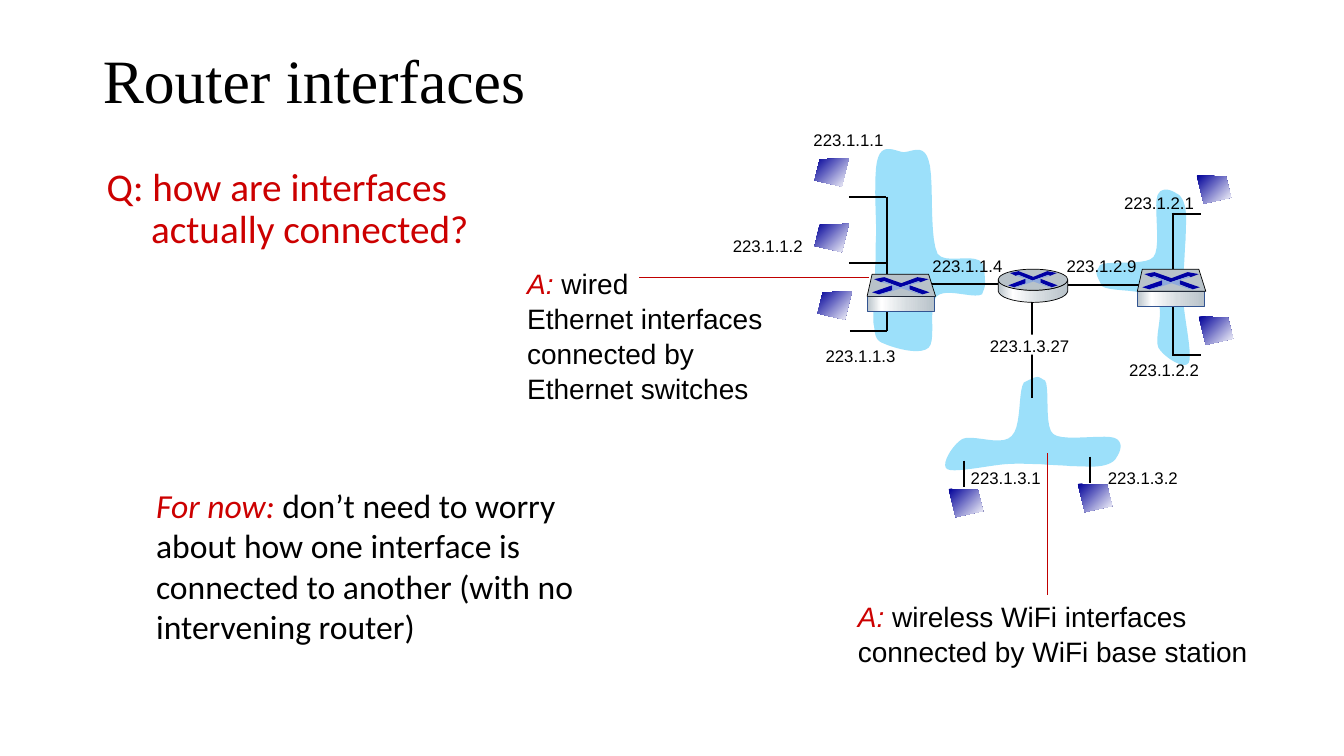
import pptx
import pptx.util
import pptx.dml.color
import pptx.enum.shapes
import pptx.enum.text
import pptx.oxml
import pptx.oxml.ns
from pptx.util import Inches

INK, RED, NAVY, STEEL = "000000", "CC0000", "0000A3", "B8C2C9"
METAL = [(0, STEEL), (21, "FFFFFF"), (60, "D6DCE0"), (100, STEEL)]
SCREEN = [(0, "000099"), (100, "FFFFFF")]
WEST = [(9.76, 2.66), (9.74, 2.47, 9.39, 2.64, 9.3, 2.52), (9.21, 2.34, 9.27, 1.76, 9.21, 1.59),
        (9.16, 1.42, 9.04, 1.51, 8.96, 1.51), (8.88, 1.5, 8.76, 1.42, 8.71, 1.56),
        (8.66, 1.69, 8.69, 2.13, 8.69, 2.31), (8.68, 2.49, 8.69, 2.54, 8.68, 2.65),
        (8.68, 2.76, 8.67, 2.86, 8.67, 2.96), (8.67, 3.06, 8.65, 3.17, 8.67, 3.24),
        (8.68, 3.32, 8.68, 3.38, 8.77, 3.41), (8.86, 3.45, 9.12, 3.53, 9.21, 3.45),
        (9.29, 3.38, 9.2, 3.03, 9.29, 2.94), (9.38, 2.85, 9.66, 2.97, 9.74, 2.92),
        (9.77, 2.84, 9.78, 2.85, 9.76, 2.66)]
EAST = [(10.93, 2.84), (11.02, 2.9, 11.36, 2.86, 11.46, 2.96), (11.57, 3.06, 11.44, 3.34, 11.49, 3.45),
        (11.55, 3.55, 11.75, 3.67, 11.79, 3.6), (11.83, 3.53, 11.75, 3.17, 11.74, 3.02),
        (11.73, 2.87, 11.74, 2.79, 11.74, 2.68), (11.75, 2.57, 11.75, 2.47, 11.76, 2.37),
        (11.76, 2.27, 11.77, 2.16, 11.76, 2.09), (11.75, 2.01, 11.72, 1.94, 11.67, 1.92),
        (11.63, 1.89, 11.52, 1.84, 11.48, 1.94), (11.44, 2.05, 11.52, 2.46, 11.44, 2.55),
        (11.37, 2.64, 10.98, 2.58, 10.91, 2.63), (10.87, 2.71, 10.85, 2.68, 10.93, 2.84)]
DRUM = [(10.59, 2.78), (10.59, 2.89), (10.57, 2.97, 10.37, 3, 10.25, 3), (10.13, 3, 9.92, 2.97, 9.9, 2.89),
        (9.9, 2.78), (9.93, 2.85, 10.13, 2.88, 10.25, 2.88), (10.36, 2.88, 10.56, 2.86, 10.59, 2.78)]
CROSS = [(NAVY, [(.45, 0), (.56, .02), (.48, .05), (.46, .04), (.28, .1), (.12, .04), (.09, .05),
                 (.02, .02), (.12, 0), (.29, .06)]),
         (NAVY, [(.37, .08), (.57, .15), (.5, .17), (.37, .12)]),
         ("0000A8", [(.2, .08), (.2, .13), (.07, .17), (0, .15)]),
         ("8FAADC", [(.09, .05), (.12, .04), (.28, .1), (.46, .04), (.48, .05), (.37, .08), (.37, .13),
                     (.5, .17), (.47, .17), (.29, .11), (.1, .17), (.07, .17), (.2, .13), (.2, .08)])]
LABELS = [("223.1.1.1", 7.97, 1.24), ("223.1.1.2", 7.17, 2.29), ("223.1.1.3", 8.09, 3.38),
          ("223.1.1.4", 9.15, 2.49), ("223.1.2.9", 10.48, 2.49), ("223.1.2.2", 11.1, 3.52),
          ("223.1.2.1", 11.05, 1.86), ("223.1.3.2", 10.89, 4.59), ("223.1.3.1", 9.53, 4.59),
          ("223.1.3.27", 9.72, 3.28)]
HOSTS = [(8.08, 1.57, True), (8.08, 2.22, True), (8.11, 2.89, True), (11.87, 1.74, False),
         (11.89, 3.14, False), (10.69, 4.8, False), (9.41, 4.85, False)]
WIRES = [(8.42, 1.95, 8.79, 1.95), (8.42, 2.61, 8.79, 2.61), (8.43, 3.28, 8.8, 3.28),
         (11.62, 2.12, 11.91, 2.12), (11.63, 3.52, 11.91, 3.52), (9.56, 4.57, 9.56, 4.83),
         (10.81, 4.53, 10.81, 4.79), (9.15, 2.82, 10.02, 2.82), (10.44, 2.83, 11.51, 2.83),
         (8.8, 1.95, 8.8, 3.28), (11.63, 2.11, 11.63, 3.53)]


def tint(code):
    """Turn a hex string into a colour."""
    return pptx.dml.color.RGBColor.from_string(code)


def paint(shape, fill, edge=None, angle=0):
    """Fill a shape with a colour or gradient stops and set its outline."""
    shape.shadow.inherit = False
    if isinstance(fill, str):
        shape.fill.solid()
        shape.fill.fore_color.rgb = tint(fill)
    else:
        shape.fill.gradient()
        shape.fill.gradient_angle = angle
        stops = shape._element.spPr.find(".//" + pptx.oxml.ns.qn("a:gsLst"))
        for stop in list(stops):
            stops.remove(stop)
        for spot, code in fill:
            stops.append(pptx.oxml.parse_xml(
                f'<a:gs {pptx.oxml.ns.nsdecls("a")} pos="{spot * 1000}"><a:srgbClr val="{code}"/></a:gs>'))
    if edge:
        shape.line.color.rgb = tint(edge)
        shape.line.width = pptx.util.Pt(0.5)
    else:
        shape.line.fill.background()


def trace(steps, count=10):
    """Return points along straight (2 numbers) and curved (6 numbers) steps."""
    points = [steps[0]]
    for step in steps[1:]:
        if len(step) == 2:
            points.append(step)
            continue
        knots = [points[-1], step[:2], step[2:4], step[4:]]
        for i in range(1, count + 1):
            t = i / count
            parts = ((1 - t) ** 3, 3 * t * (1 - t) ** 2, 3 * t * t * (1 - t), t ** 3)
            points.append(tuple(sum(w * k[a] for w, k in zip(parts, knots)) for a in (0, 1)))
    return points


def draw(slide, points, fill, edge=None, angle=0):
    """Draw a closed outline."""
    spots = [(Inches(x), Inches(y)) for x, y in points]
    pen = slide.shapes.build_freeform(*spots[0])
    pen.add_line_segments(spots[1:], close=True)
    paint(pen.convert_to_shape(), fill, edge, angle)


def block(slide, kind, left, top, wide, high, fill, edge=None):
    """Add a preset shape."""
    shape = slide.shapes.add_shape(kind, Inches(left), Inches(top), Inches(wide), Inches(high))
    paint(shape, fill, edge)


def wire(slide, ends, code=INK, width=1.5):
    """Add a straight line."""
    line = slide.shapes.add_connector(pptx.enum.shapes.MSO_CONNECTOR.STRAIGHT, *map(Inches, ends))
    line.line.color.rgb = tint(code)
    line.line.width = pptx.util.Pt(width)
    line._element.spPr.append(pptx.oxml.parse_xml(f'<a:effectLst {pptx.oxml.ns.nsdecls("a")}/>'))


def write(slide, area, paras, size, face="Arial", wrap=True, space=None):
    """Add a text box; red runs are italic when black ones follow."""
    box = slide.shapes.add_textbox(*map(Inches, area))
    frame = box.text_frame
    frame.word_wrap = wrap
    for i, runs in enumerate(paras):
        para = frame.add_paragraph() if i else frame.paragraphs[0]
        para.font.name, para.font.size = face, pptx.util.Pt(size)
        para.line_spacing = space
        for words, code in runs:
            run = para.add_run()
            run.text = words
            run.font.color.rgb = tint(code)
            if code == RED and len(runs) > 1:
                run.font.italic = True
    return frame


def head(slide, words):
    """Place and format the title."""
    title = slide.shapes.title
    title.left, title.top, title.width, title.height = map(Inches, (0.92, 0.34, 11.5, 0.98))
    frame = title.text_frame
    frame.text = words
    frame.auto_size = pptx.enum.text.MSO_AUTO_SIZE.NONE
    frame.vertical_anchor = pptx.enum.text.MSO_ANCHOR.MIDDLE
    para = frame.paragraphs[0]
    para.alignment = pptx.enum.text.PP_ALIGN.LEFT
    para.line_spacing = 0.9
    para.font.name, para.font.size = "Times New Roman", pptx.util.Pt(44)
    para.font.color.rgb = tint(INK)


def host(slide, left, top, flip):
    """Draw a host screen, mirrored if flip is set."""
    shape = [(0, 0), (.29, .01), (.34, .22), (.07, .28)]
    draw(slide, [(left + (.34 - x if flip else x), top + y) for x, y in shape], SCREEN, angle=315)


def cross(slide, left, top, wide=1, high=1):
    """Draw the crossed arrows on a device."""
    for code, points in CROSS:
        draw(slide, [(left + x * wide, top + y * high) for x, y in points], code)


def switch(slide, left, top):
    """Draw a switch."""
    block(slide, pptx.enum.shapes.MSO_SHAPE.RECTANGLE, left, top + .22, .67, .15, METAL, "325491")
    lid = [(0, .22), (.05, 0), (.61, 0), (.68, .22)]
    draw(slide, [(left + x, top + y) for x, y in lid], STEEL, INK)
    cross(slide, left + .05, top + .03)


def main():
    """Build the slide."""
    deck = pptx.Presentation()
    deck.slide_width, deck.slide_height = Inches(13.33), Inches(7.5)
    slide = deck.slides.add_slide(deck.slide_layouts[5])
    head(slide, "Router interfaces")
    east = trace(EAST)
    for cloud in ([(12.995 - y, x - 7.135) for x, y in east], east, trace(WEST)):
        draw(slide, cloud, "9CE0FA")
    wire(slide, (10.24, 2.99, 10.24, 3.95))
    block(slide, pptx.enum.shapes.MSO_SHAPE.RECTANGLE, 9.78, 3.32, .93, .2, "FFFFFF")
    for words, left, top in LABELS:
        write(slide, (left, top, 1 if len(words) > 9 else .9, .3), [[(words, INK)]], 12, wrap=False)
    for spot in HOSTS:
        host(slide, *spot)
    for ends in WIRES:
        wire(slide, ends)
    ask = write(slide, (.96, 1.61, 3.82, 1.84), [[("Q: how are interfaces actually connected?", RED)]],
                28, "Calibri", space=0.9)
    props = ask.paragraphs[0]._p.get_or_add_pPr()
    props.set("marL", str(Inches(.44)))
    props.set("indent", str(Inches(-.44)))
    write(slide, (5.13, 2.58, 2.79, 1.45), [[("A: ", RED), ("wired", INK)],
          [("Ethernet interfaces connected by Ethernet switches", INK)]], 20, space=1.04)
    wire(slide, (8.62, 2.75, 6.34, 2.75), "C00000", 0.75)
    write(slide, (8.41, 5.89, 4.56, .77), [[("A: ", RED),
          ("wireless WiFi interfaces connected by WiFi base station", INK)]], 20, space=1.04)
    wire(slide, (10.39, 5.9, 10.39, 4.49), "C00000", 1)
    write(slide, (1.45, 4.76, 4.73, 1.72), [[("For now: ", RED), ("don’t need to worry about how one "
          "interface is connected to another (with no intervening router)", INK)]], 24, "Calibri")
    draw(slide, trace(DRUM), METAL, INK)
    block(slide, pptx.enum.shapes.MSO_SHAPE.OVAL, 9.9, 2.67, .69, .21, STEEL, INK)
    cross(slide, 10, 2.69, .86, .94)
    switch(slide, 8.6, 2.72)
    switch(slide, 11.28, 2.67)
    deck.save("out.pptx")


if __name__ == "__main__":
    main()
